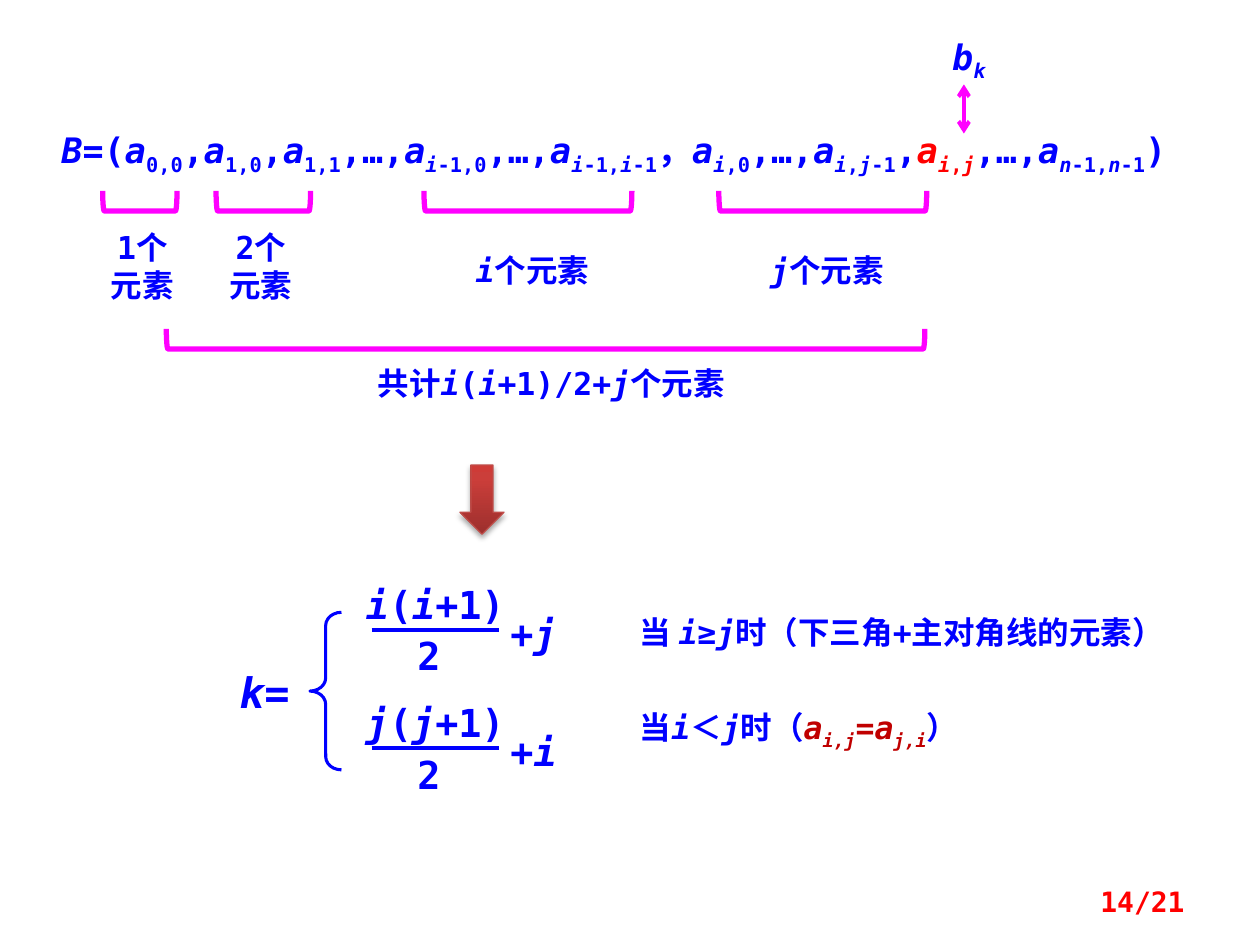
import copy
import itertools
from collections import namedtuple

import lxml.etree
import pptx
import pptx.dml.color
import pptx.enum.dml
import pptx.enum.shapes
import pptx.enum.text
import pptx.oxml.ns
import pptx.util

SHAPE = pptx.enum.shapes.MSO_SHAPE
ALIGN = pptx.enum.text.PP_ALIGN
ANCHOR = pptx.enum.text.MSO_ANCHOR
FIT = pptx.enum.text.MSO_AUTO_SIZE

THEME = {
    "font": "DejaVu Sans Mono",
    "ink": "0000FF", "accent": "FF0000", "identity": "C00000",
    "bracket": "FF00FF", "arrow_line": "BF4C48",
    "arrow_fill": [(0, "9C2F2D"), (0.8, "CB3E3A"), (1, "CE3B37")],
    "label": 18, "sequence": 20, "fraction": 22, "result": 24, "page": 16,
}

# The slide is a grid of 100 columns by 75 rows
COLUMNS, ROWS = 100, 75
CELL = pptx.util.Inches(10) // COLUMNS

Box = namedtuple("Box", "left top width height")


def grid(*cells):
    return [round(cell * CELL) for cell in cells]


def within(region, left, top, width, height):
    return Box(region.left + left, region.top + top, width, height)


def rgb(value):
    return pptx.dml.color.RGBColor.from_string(value)


def add_runs(paragraph, markup, size, color, accent):
    """In the markup * toggles italic, _ subscript and ^ the accent colour."""
    state = {"*": False, "_": False, "^": False}
    for is_mark, group in itertools.groupby(markup, lambda c: c in state):
        if is_mark:
            for mark in group:
                state[mark] = not state[mark]
            continue
        run = paragraph.add_run()
        run.text = "".join(group)
        looks = {"name": THEME["font"], "size": pptx.util.Pt(size),
                 "bold": True, "italic": state["*"]}
        for key, value in looks.items():
            setattr(run.font, key, value)
        run.font.color.rgb = rgb(accent if state["^"] else color)
        if state["_"]:
            run.font._element.set("baseline", "-25000")


def add_text(slide, box, lines, size, align=ALIGN.CENTER, tight=False,
             color=THEME["ink"], accent=THEME["accent"], **extra):
    frame = slide.shapes.add_textbox(*grid(*box)).text_frame
    looks = {"word_wrap": True, "auto_size": FIT.SHAPE_TO_FIT_TEXT}
    if tight:
        looks.update(dict.fromkeys(
            ("margin_left", "margin_top", "margin_right", "margin_bottom"), 0))
    for key, value in {**looks, **extra}.items():
        setattr(frame, key, value)
    for number, line in enumerate(lines):
        paragraph = frame.add_paragraph() if number else frame.paragraphs[0]
        paragraph.alignment = align
        add_runs(paragraph, line, size, color, accent)


def add_outline(slide, preset, box, color, width):
    outline = slide.shapes.add_shape(preset, *grid(*box))
    outline.shadow.inherit = False
    outline.fill.background()
    outline.line.color.rgb = rgb(color)
    outline.line.width = pptx.util.Pt(width)
    return outline


def add_line(slide, start, end, color, arrows=False):
    line = slide.shapes.add_connector(
        pptx.enum.shapes.MSO_CONNECTOR.STRAIGHT, *grid(*start, *end))
    line.line.color.rgb = rgb(color)
    line.line.width = pptx.util.Pt(2.25)
    qn = pptx.oxml.ns.qn
    if arrows:
        for end_name in ("a:headEnd", "a:tailEnd"):
            lxml.etree.SubElement(line.line._ln, qn(end_name), type="arrow")
    lxml.etree.SubElement(line._element.spPr, qn("a:effectLst"))


def add_bracket(slide, box):
    """A left bracket turned to open upwards and fill the box."""
    middle, centre = box.left + box.width / 2, box.top + box.height / 2
    upright = Box(middle - box.height / 2, centre - box.width / 2,
                  box.height, box.width)
    add_outline(slide, SHAPE.LEFT_BRACKET, upright,
                THEME["bracket"], 3).rotation = 270


def sequence_region(slide, region):
    # The stored sequence
    add_text(slide, within(region, 0, 7.4, 94.5, 4.4), [
        "*B*=(*a*_0,0_,*a*_1,0_,*a*_1,1_,…,*a_i*-1,0_,…,*a_i*-1,*i*-1_，"
        "*a_i*,0_,…,*a_i*,*j*-1_,^*a_i*,*j*_^,…,*a_n*-1,*n*-1_)"],
        THEME["sequence"], ALIGN.LEFT)

    # Bracketed groups: bracket left, top, width; label left, top, width
    groups = [
        (4.25, 12.85, 5.9, 3.1, 15.3, 8.6, ["1个", "元素"]),
        (13.25, 12.85, 7.5, 12.5, 15.3, 8.6, ["2个", "元素"]),
        (29.75, 12.85, 16.5, 31.3, 17.1, 14.1, ["*i*个元素"]),
        (53.15, 12.85, 16.5, 54.7, 17.1, 14.1, ["*j*个元素"]),
        (9.3, 23.8, 60.2, 24.2, 26.1, 31.3, ["共计*i*(*i*+1)/2+*j*个元素"]),
    ]
    for left, top, width, label_left, label_top, label_width, lines in groups:
        add_bracket(slide, within(region, left, top, width, 1.6))
        add_text(slide, within(region, label_left, label_top, label_width,
                               0.9 + 3.1 * len(lines)), lines, THEME["label"])

    # Element b_k and its link to the sequence
    add_text(slide, within(region, 69.5, 0, 7, 4.4), ["*b_k"],
             THEME["sequence"])
    link = within(region, 72.6, 4.4, 0, 3.9)
    add_line(slide, link[:2], (link.left, link.top + link.height),
             THEME["bracket"], arrows=True)


def down_arrow(slide, box):
    arrow = add_outline(slide, SHAPE.DOWN_ARROW, box, THEME["arrow_line"], 0.75)
    arrow.fill.gradient()
    arrow.fill.gradient_angle = 90
    stops = arrow.fill.gradient_stops
    first = stops[0]._gs
    first.addnext(copy.deepcopy(first))
    for stop, (position, color) in zip(arrow.fill.gradient_stops,
                                       THEME["arrow_fill"]):
        stop.color.rgb = rgb(color)
        stop.position = position
    # Soft shadow below
    qn = pptx.oxml.ns.qn
    effects = arrow._element.spPr.find(qn("a:effectLst"))
    shadow = lxml.etree.SubElement(
        effects, qn("a:outerShdw"), blurRad=str(pptx.util.Pt(3.1)),
        dist=str(pptx.util.Pt(1.8)), dir="5400000", rotWithShape="0")
    black = lxml.etree.SubElement(shadow, qn("a:srgbClr"), val="000000")
    lxml.etree.SubElement(black, qn("a:alpha"), val="35000")


def fraction(slide, region, numerator, addend):
    parts = [(0, 0, 11.7, numerator), (2.6, 4.1, 5.5, "2"),
             (10.9, 2.3, 5.5, addend)]
    for left, top, width, words in parts:
        add_text(slide, within(region, left, top, width, 3.7), [words],
                 THEME["fraction"], tight=True)
    bar = within(region, 0.8, 3.9, 10.1, 0)
    add_line(slide, bar[:2], (bar.left + bar.width, bar.top), THEME["ink"])


def formula_region(slide, region):
    add_text(slide, within(region, 0, 6.3, 6.7, 5), ["*k*="],
             THEME["result"], ALIGN.LEFT)
    brace = add_outline(slide, SHAPE.LEFT_BRACE,
                        within(region, 6.6, 2.5, 2.5, 12.5), THEME["ink"], 1.75)
    brace.adjustments[0] = 0.417

    # One row for each case: value, then condition
    cases = [
        ("*i*(*i*+1)", "+*j", 2.1, 47.1, "当 *i*≥*j*时（下三角+主对角线的元素）"),
        ("*j*(*j*+1)", "+*i", 9.6, 29.7, "当*i*＜*j*时（^*a_i,j_*=*a_j,i_*^）"),
    ]
    for row, (numerator, addend, top, width, condition) in enumerate(cases):
        fraction(slide, within(region, 10.7, row * 9.4, 16.4, 7.8),
                 numerator, addend)
        add_text(slide, within(region, 31.8, top, width, 4), [condition],
                 THEME["label"], ALIGN.LEFT, accent=THEME["identity"])


def page_number(slide, box):
    add_text(slide, box, ["14/21"], THEME["page"], ALIGN.RIGHT,
             color=THEME["accent"], auto_size=FIT.NONE,
             vertical_anchor=ANCHOR.MIDDLE)


def main():
    deck = pptx.Presentation()
    deck.slide_width, deck.slide_height = grid(COLUMNS, ROWS)
    slide = deck.slides.add_slide(deck.slide_layouts[6])
    sequence_region(slide, Box(3.9, 2.3, 94.5, 30.1))
    down_arrow(slide, Box(36.5, 36.9, 3.5, 5.5))
    formula_region(slide, Box(18, 46.1, 79, 17.2))
    page_number(slide, Box(71.7, 69.5, 23.3, 4))
    deck.save("out.pptx")


if __name__ == "__main__":
    main()
